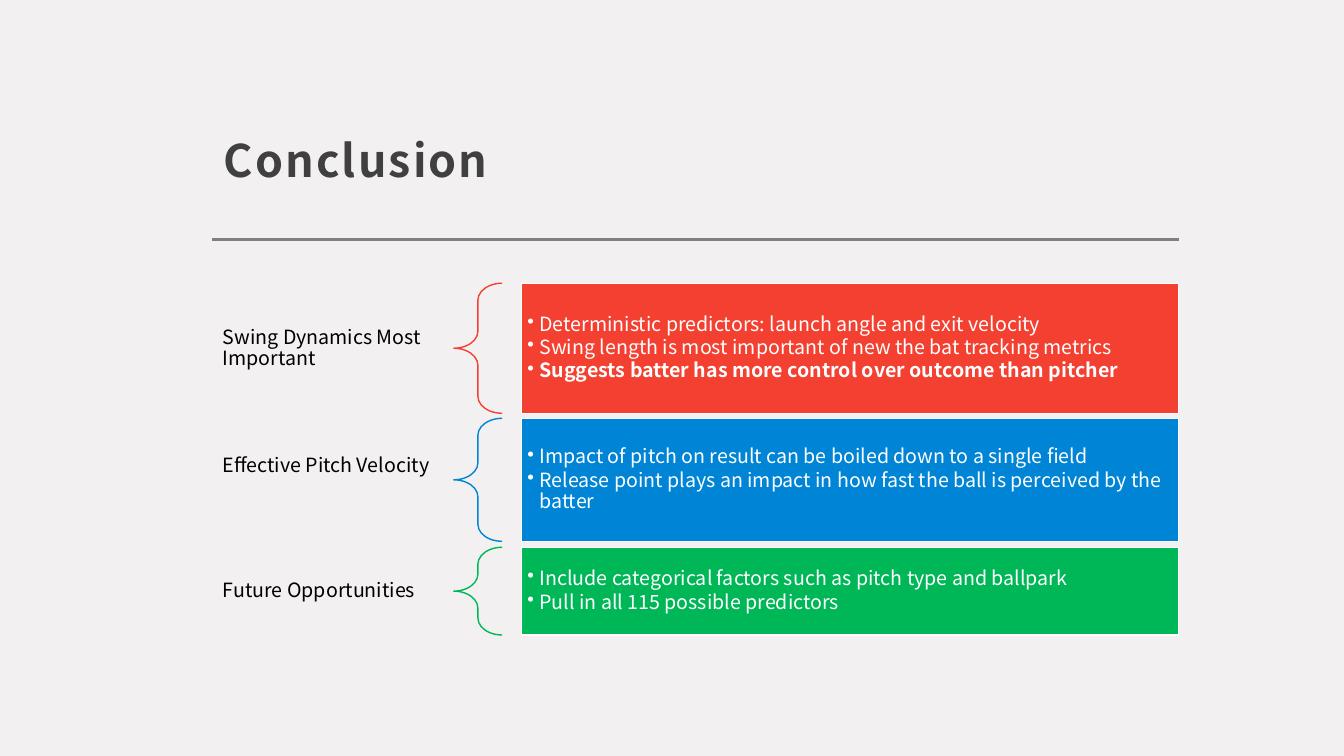
"""Build the conclusion slide: three braced topics with their findings."""
from lxml import etree
from pptx import Presentation
from pptx.dml.color import RGBColor
from pptx.enum import shapes, text
from pptx.oxml import ns
from pptx.util import Inches, Pt

FONT = "Noto Sans CJK JP"
BACKGROUND = RGBColor(0xF3, 0xF0, 0xF1)
GRAY = RGBColor(0x80, 0x80, 0x80)
DARK = RGBColor(0x40, 0x40, 0x40)
BLACK = RGBColor(0x00, 0x00, 0x00)
WHITE = RGBColor(0xFF, 0xFF, 0xFF)
RED = RGBColor(0xF3, 0x40, 0x31)
BLUE = RGBColor(0x00, 0x84, 0xD6)
GREEN = RGBColor(0x00, 0xB7, 0x57)

LEFT, RIGHT = 2.1, 11.69
BRACE_LEFT, BRACE_WIDTH = 4.5, 0.48
PANEL_LEFT = 5.17
LABEL_HEIGHT = 0.78

# Topic, color, top, height, upward shift of the label, findings (text, bold)
TOPICS = [
    ("Swing Dynamics Most Important", RED, 2.81, 1.29, 0, [
        ("Deterministic predictors: launch angle and exit velocity", False),
        ("Swing length is most important of new the bat tracking metrics", False),
        ("Suggests batter has more control over outcome than pitcher", True)]),
    ("Effective Pitch Velocity", BLUE, 4.15, 1.22, 0.14, [
        ("Impact of pitch on result can be boiled down to a single field", False),
        ("Release point plays an impact in how fast the ball is perceived by the batter", False)]),
    ("Future Opportunities", GREEN, 5.43, 0.87, 0, [
        ("Include categorical factors such as pitch type and ballpark", False),
        ("Pull in all 115 possible predictors", False)]),
]


def set_frame(frame, anchor, left, top, right, bottom):
    frame.word_wrap = True
    frame.auto_size = text.MSO_AUTO_SIZE.NONE
    frame.vertical_anchor = anchor
    frame.margin_left, frame.margin_top = Inches(left), Inches(top)
    frame.margin_right, frame.margin_bottom = Inches(right), Inches(bottom)


def add_text(paragraph, words, size, color, bold=False, spacing=0.9):
    paragraph.alignment = text.PP_ALIGN.LEFT
    paragraph.line_spacing = spacing
    run = paragraph.add_run()
    run.text = words
    run.font.name, run.font.size, run.font.bold = FONT, Pt(size), bold
    run.font.color.rgb = color
    return run


presentation = Presentation()
presentation.slide_width, presentation.slide_height = Inches(13.33), Inches(7.5)
slide = presentation.slides.add_slide(presentation.slide_layouts[5])
slide.background.fill.solid()
slide.background.fill.fore_color.rgb = BACKGROUND

rule = slide.shapes.add_connector(
    shapes.MSO_CONNECTOR.STRAIGHT, Inches(LEFT), Inches(2.38), Inches(RIGHT), Inches(2.38))
rule.line.color.rgb = GRAY
rule.line.width = Pt(2)
etree.SubElement(rule._element.spPr, ns.qn("a:effectLst"))

title = slide.shapes.title
title.left, title.top = Inches(LEFT), Inches(0.48)
title.width, title.height = Inches(RIGHT - LEFT), Inches(1.47)
set_frame(title.text_frame, text.MSO_ANCHOR.BOTTOM, 0.12, 0.12, 0.12, 0.1)
heading = add_text(title.text_frame.paragraphs[0], "Conclusion", 32, DARK, True, 1.3)
heading.font._element.set("spc", "150")

for topic, color, top, height, lift, findings in TOPICS:
    label = slide.shapes.add_textbox(
        Inches(LEFT), Inches(top + (height - LABEL_HEIGHT) / 2 - lift),
        Inches(BRACE_LEFT - LEFT), Inches(LABEL_HEIGHT))
    set_frame(label.text_frame, text.MSO_ANCHOR.MIDDLE, 0.11, 0.04, 0.11, 0.04)
    add_text(label.text_frame.paragraphs[0], topic, 14, BLACK)

    brace = slide.shapes.add_shape(
        shapes.MSO_SHAPE.LEFT_BRACE, Inches(BRACE_LEFT), Inches(top),
        Inches(BRACE_WIDTH), Inches(height))
    brace.adjustments[0], brace.adjustments[1] = 0.35, 0.5
    brace.shadow.inherit = False
    brace.fill.background()
    brace.line.color.rgb = color
    brace.line.width = Pt(1)

    panel = slide.shapes.add_shape(
        shapes.MSO_SHAPE.RECTANGLE, Inches(PANEL_LEFT), Inches(top),
        Inches(RIGHT - PANEL_LEFT), Inches(height))
    panel.shadow.inherit = False
    panel.fill.solid()
    panel.fill.fore_color.rgb = color
    panel.line.color.rgb = WHITE
    panel.line.width = Pt(1)
    frame = panel.text_frame
    set_frame(frame, text.MSO_ANCHOR.MIDDLE, 0.06, 0.06, 0.06, 0.06)
    for index, (finding, bold) in enumerate(findings):
        paragraph = frame.add_paragraph() if index else frame.paragraphs[0]
        add_text(paragraph, finding, 14, WHITE, bold)
        paragraph.space_after = Pt(1.5)
        properties = paragraph._element.get_or_add_pPr()
        properties.set("marL", str(Inches(0.12)))
        properties.set("indent", str(-Inches(0.12)))
        etree.SubElement(properties, ns.qn("a:buChar"), char="•")

presentation.save("out.pptx")
